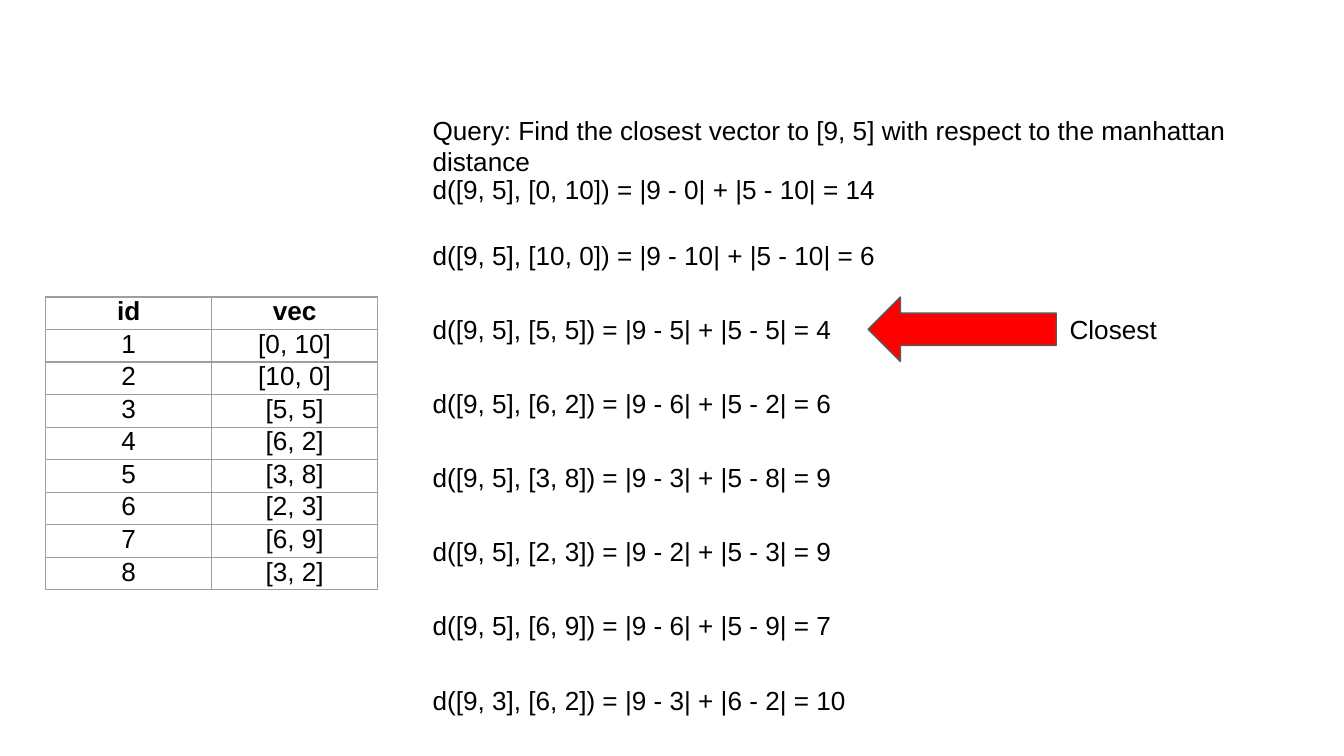
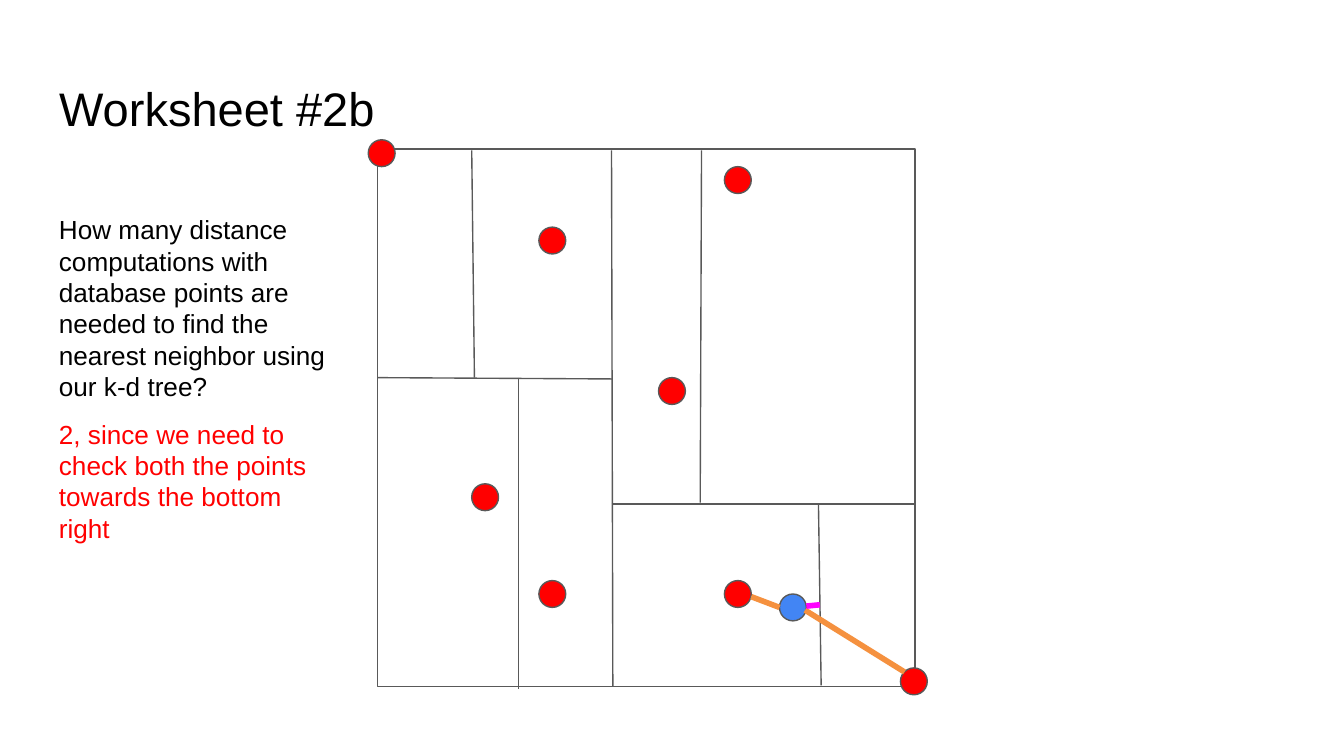
from lxml.etree import SubElement
from pptx import Presentation
from pptx.dml.color import RGBColor
from pptx.enum.shapes import MSO_CONNECTOR as Connector, MSO_SHAPE as Preset
from pptx.enum.text import MSO_ANCHOR as Anchor, MSO_AUTO_SIZE as AutoSize, PP_ALIGN as Align
from pptx.oxml import parse_xml
from pptx.oxml.ns import nsdecls, qn
from pptx.util import Inches, Pt

COLORS = {
    "text": "000000",
    "red": "FF0000",
    "outline": "595959",
    "border": "9E9E9E",
    "query": "4285F4",
    "path": "F5913F",
    "gap": "FF00FF",
}
FONT = "Arial"
BODY_SIZE = 14
TITLE_SIZE = 25.2
LEFT = 0.34
INSET = 0.1
DOT_SIZE = 0.2

VECTORS = ["[0, 10]", "[10, 0]", "[5, 5]", "[6, 2]", "[3, 8]", "[2, 3]", "[6, 9]", "[3, 2]"]
QUERY = "Query: Find the closest vector to [9, 5] with respect to the manhattan distance"
DISTANCES = [
    "d([9, 5], [0, 10]) = |9 - 0| + |5 - 10| = 14",
    "d([9, 5], [10, 0]) = |9 - 10| + |5 - 10| = 6",
    "d([9, 5], [5, 5]) = |9 - 5| + |5 - 5| = 4",
    "d([9, 5], [6, 2]) = |9 - 6| + |5 - 2| = 6",
    "d([9, 5], [3, 8]) = |9 - 3| + |5 - 8| = 9",
    "d([9, 5], [2, 3]) = |9 - 2| + |5 - 3| = 9",
    "d([9, 5], [6, 9]) = |9 - 6| + |5 - 9| = 7",
    "d([9, 3], [6, 2]) = |9 - 3| + |6 - 2| = 10",
]
QUESTION = ("How many distance computations with database points are needed "
            "to find the nearest neighbor using our k-d tree?")
ANSWER = "2, since we need to check both the points towards the bottom right"

# Left and top of each database point's dot
POINTS = [(2.74, 1.04), (6.7, 4.97), (4.9, 2.81), (5.39, 4.32),
          (4.01, 1.69), (3.51, 3.6), (5.39, 1.24), (4.01, 4.32)]
QUERY_POINT = (5.8, 4.42)
# Lines are x1, y1, x2, y2
SPLITS = [
    (4.55, 1.12, 4.56, 5.11),
    (4.55, 3.75, 6.81, 3.75),
    (6.09, 3.75, 6.11, 5.1),
    (5.22, 1.12, 5.21, 3.74),
    (3.51, 1.12, 3.53, 2.81),
    (2.81, 2.81, 4.56, 2.82),
    (3.86, 2.81, 3.86, 5.13),
]
PATHS = [(5.59, 4.44, 5.8, 4.52), (5.99, 4.54, 6.73, 5)]
SPLIT_GAP = (6, 4.51, 6.1, 4.5)


def rgb(color):
    return RGBColor.from_string(COLORS[color])


def add_span(para, text, size=BODY_SIZE, color="text", bold=False):
    span = para.add_run()
    span.text = text
    span.font.name = FONT
    span.font.size = Pt(size)
    span.font.bold = bold
    span.font.color.rgb = rgb(color)


def set_frame(frame):
    frame.word_wrap = True
    frame.vertical_anchor = Anchor.TOP
    frame.margin_left = frame.margin_right = Inches(INSET)
    frame.margin_top = frame.margin_bottom = Inches(INSET)


def add_text(shapes, text, left, top, width, height=0.44, color="text"):
    box = shapes.add_textbox(Inches(left), Inches(top), Inches(width), Inches(height))
    set_frame(box.text_frame)
    box.text_frame.auto_size = AutoSize.SHAPE_TO_FIT_TEXT
    add_span(box.text_frame.paragraphs[0], text, color=color)


def add_title(page, text):
    title = page.shapes.title
    title.left, title.top = Inches(LEFT), Inches(0.49)
    title.width, title.height = Inches(9.32), Inches(0.63)
    set_frame(title.text_frame)
    title.text_frame.auto_size = AutoSize.NONE
    para = title.text_frame.paragraphs[0]
    para.alignment = Align.LEFT
    add_span(para, text, TITLE_SIZE)


def add_outlined(shapes, preset, left, top, width, height, fill=None):
    shape = shapes.add_shape(preset, Inches(left), Inches(top), Inches(width), Inches(height))
    shape.shadow.inherit = False
    if fill:
        shape.fill.solid()
        shape.fill.fore_color.rgb = rgb(fill)
    else:
        shape.fill.background()
    shape.line.color.rgb = rgb("outline")
    shape.line.width = Pt(0.75)


def add_dot(page, left, top, fill="red"):
    add_outlined(page.shapes, Preset.OVAL, left, top, DOT_SIZE, DOT_SIZE, fill)


def add_line(page, ends, color="outline", weight=0.75):
    line = page.shapes.add_connector(Connector.STRAIGHT, *[Inches(end) for end in ends])
    line.line.color.rgb = rgb(color)
    line.line.width = Pt(weight)
    SubElement(line._element.spPr, qn("a:effectLst"))


def set_borders(cell):
    properties = cell._tc.get_or_add_tcPr()
    for index, side in enumerate(("lnL", "lnR", "lnT", "lnB")):
        properties.insert(index, parse_xml(
            f'<a:{side} {nsdecls("a")} w="{Pt(0.75)}"><a:solidFill>'
            f'<a:srgbClr val="{COLORS["border"]}"/></a:solidFill></a:{side}>'))


def add_vector_table(page):
    rows = [("id", "vec")] + [(str(number), vec) for number, vec in enumerate(VECTORS, 1)]
    width, height = Inches(2.47), Inches(2.18)
    table = page.shapes.add_table(len(rows), 2, Inches(LEFT), Inches(2.21), width, height).table
    table.first_row = table.horz_banding = False
    for row_index, texts in enumerate(rows):
        for column_index, text in enumerate(texts):
            cell = table.cell(row_index, column_index)
            cell.fill.background()
            cell.margin_left = cell.margin_right = cell.margin_top = cell.margin_bottom = 0
            set_borders(cell)
            para = cell.text_frame.paragraphs[0]
            para.alignment = Align.CENTER
            add_span(para, text, bold=row_index == 0)


def add_closest_marker(page):
    marker = page.shapes.add_group_shape()
    add_outlined(marker.shapes, Preset.LEFT_ARROW, 6.46, 2.21, 1.4, 0.48, "red")
    add_text(marker.shapes, "Closest", 7.86, 2.23, 1.4)


def build_distances(deck):
    page = deck.slides.add_slide(deck.slide_layouts[6])
    add_vector_table(page)
    add_text(page.shapes, QUERY, 3.12, 0.75, 6.88)
    first, second, last = 1.19, 1.68, 4.99
    gap = (last - second) / (len(DISTANCES) - 2)
    tops = [first] + [second + gap * step for step in range(len(DISTANCES) - 1)]
    for text, top in zip(DISTANCES, tops):
        add_text(page.shapes, text, 3.12, top, 6.14)
    add_closest_marker(page)


def build_worksheet(deck):
    page = deck.slides.add_slide(deck.slide_layouts[5])
    add_title(page, "Worksheet #2b")
    add_outlined(page.shapes, Preset.RECTANGLE, 2.81, 1.11, 4, 4)
    for split in SPLITS:
        add_line(page, split)
    for point in POINTS:
        add_dot(page, *point)
    add_dot(page, *QUERY_POINT, fill="query")
    add_text(page.shapes, QUESTION, LEFT, 1.49, 2.26, 1.62)
    add_text(page.shapes, ANSWER, LEFT, 3.01, 2.26, 1.14, "red")
    for ends in PATHS:
        add_line(page, ends, "path", 3)
    add_line(page, SPLIT_GAP, "gap", 3)


def main():
    deck = Presentation()
    deck.slide_width = Inches(10)
    deck.slide_height = deck.slide_width * 9 // 16
    build_distances(deck)
    build_worksheet(deck)
    deck.save("out.pptx")


if __name__ == "__main__":
    main()
